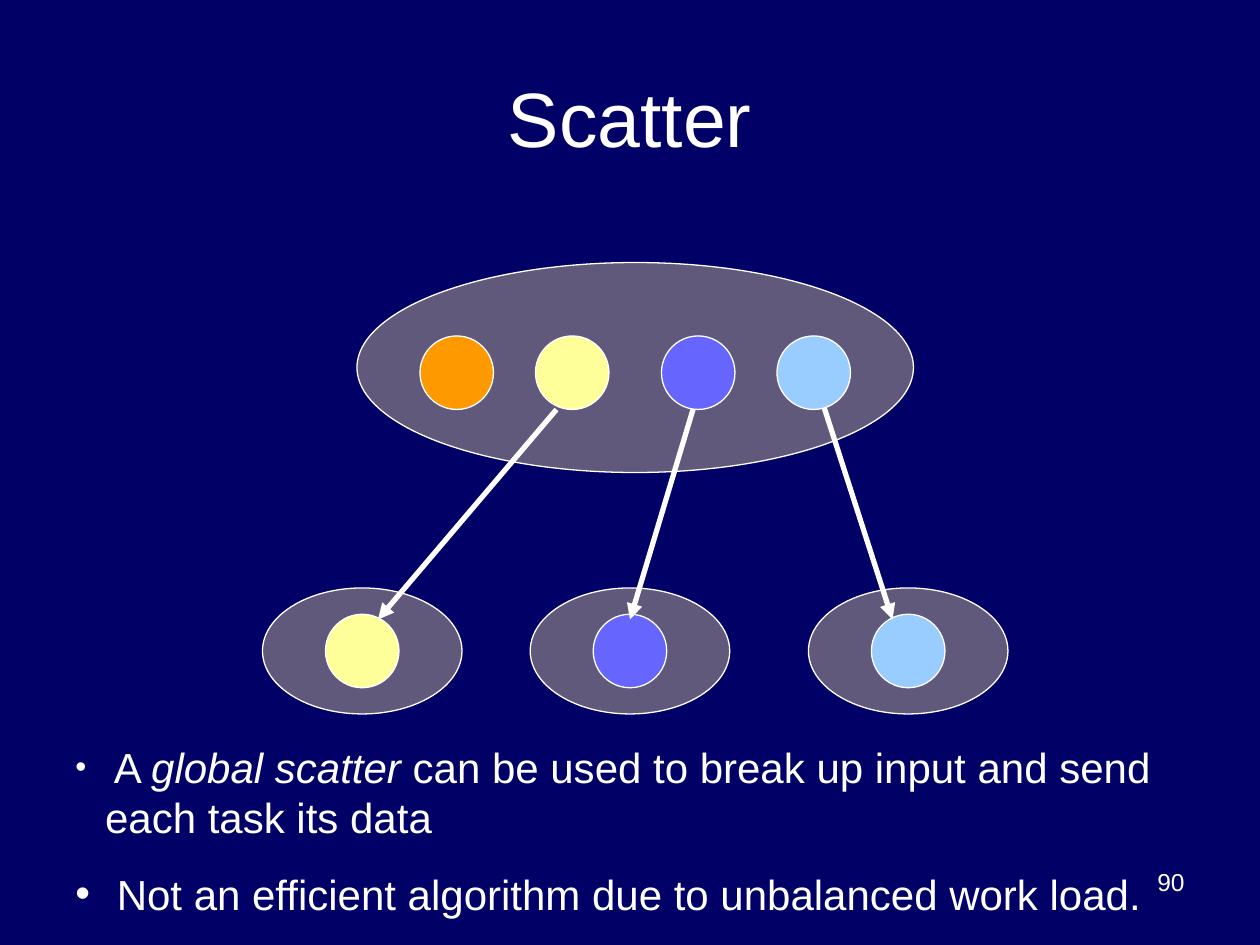
from lxml import etree
from pptx import Presentation
from pptx.dml.color import RGBColor
from pptx.enum.shapes import MSO_CONNECTOR, MSO_SHAPE
from pptx.enum.text import MSO_ANCHOR, PP_ALIGN
from pptx.oxml.ns import qn
from pptx.util import Pt

NAVY = RGBColor(0x00, 0x00, 0x66)
WHITE = RGBColor(0xFF, 0xFF, 0xFF)
TASK_GREY = RGBColor(0x60, 0x59, 0x7B)
ORANGE = RGBColor(0xFF, 0x99, 0x00)
YELLOW = RGBColor(0xFF, 0xFF, 0x99)
BLUE = RGBColor(0x66, 0x66, 0xFF)
SKY = RGBColor(0x99, 0xCC, 0xFF)

OVAL = MSO_SHAPE.OVAL
STRAIGHT = MSO_CONNECTOR.STRAIGHT
MIDDLE, TOP = MSO_ANCHOR.MIDDLE, MSO_ANCHOR.TOP
LEFT, CENTER, RIGHT = PP_ALIGN.LEFT, PP_ALIGN.CENTER, PP_ALIGN.RIGHT

DATA_SIZE = 42
TASK_WIDTH, TASK_HEIGHT = 114, 72
ROOT_CENTER_Y, TASK_CENTER_Y = 213, 372
BULLET_INDENT = 17

# Colour, centre in the root, centre of the receiving task, arrow start and end
SCATTERED = [
    (YELLOW, 327, 207, (318, 234), (216, 354)),
    (BLUE, 399, 360, (396, 234), (360, 354)),
    (SKY, 465, 519, (471, 233), (510, 354)),
]


def add_ellipse(slide, center_x, center_y, width, height, color):
    ellipse = slide.shapes.add_shape(
        OVAL, Pt(center_x - width / 2), Pt(center_y - height / 2), Pt(width), Pt(height))
    ellipse.shadow.inherit = False
    ellipse.fill.solid()
    ellipse.fill.fore_color.rgb = color
    ellipse.line.color.rgb = WHITE
    ellipse.line.width = Pt(0.75)


def add_data(slide, center_x, center_y, color):
    add_ellipse(slide, center_x, center_y, DATA_SIZE, DATA_SIZE, color)


def add_arrow(slide, start, end):
    arrow = slide.shapes.add_connector(STRAIGHT, *map(Pt, start + end))
    arrow.line.color.rgb = WHITE
    arrow.line.width = Pt(3)
    etree.SubElement(arrow.line._get_or_add_ln(), qn("a:tailEnd"), type="triangle")
    etree.SubElement(arrow._element.spPr, qn("a:effectLst"))


def add_bullet(paragraph):
    properties = paragraph._p.get_or_add_pPr()
    properties.set("marL", str(Pt(BULLET_INDENT)))
    properties.set("indent", str(-Pt(BULLET_INDENT)))
    etree.SubElement(properties, qn("a:buFont"), typeface="Arial")
    etree.SubElement(properties, qn("a:buChar"), char="•")


def add_text(slide, box, paragraphs, size, align=LEFT, anchor=TOP, bullets=False, gap=0):
    """Each paragraph is a list of (text, run format) pairs."""
    frame = slide.shapes.add_textbox(*map(Pt, box)).text_frame
    frame.word_wrap = True
    frame.vertical_anchor = anchor
    for index, runs in enumerate(paragraphs):
        paragraph = frame.paragraphs[0] if index == 0 else frame.add_paragraph()
        if bullets:
            add_bullet(paragraph)
        paragraph.alignment = align
        if index:
            paragraph.space_before = Pt(gap)
        for text, style in runs:
            run = paragraph.add_run()
            run.text = text
            run.font.name = "Arial"
            run.font.size = Pt(style.get("size", size))
            run.font.italic = style.get("italic", False)
            run.font.color.rgb = WHITE


def main():
    deck = Presentation()
    deck.slide_width, deck.slide_height = Pt(720), Pt(540)
    slide = deck.slides.add_slide(deck.slide_layouts[6])
    slide.background.fill.solid()
    slide.background.fill.fore_color.rgb = NAVY

    add_text(slide, (36, 21.6, 648, 90), [[("Scatter", {})]], 44,
             align=CENTER, anchor=MIDDLE)

    # Root task with its data
    add_ellipse(slide, 363, 210, 318, 120, TASK_GREY)
    add_data(slide, 261, ROOT_CENTER_Y, ORANGE)

    # Data sent to each receiving task
    for color, root_x, task_x, start, end in SCATTERED:
        add_data(slide, root_x, ROOT_CENTER_Y, color)
        add_ellipse(slide, task_x, TASK_CENTER_Y, TASK_WIDTH, TASK_HEIGHT, TASK_GREY)
        add_data(slide, task_x, TASK_CENTER_Y, color)
        add_arrow(slide, start, end)

    # Explanation
    explanation = [
        [(" ", {"size": 18}), ("A ", {}), ("global scatter", {"italic": True}),
         (" can be used to break up input and send each task its data", {})],
        [(" Not an efficient algorithm due to unbalanced work load.", {})],
    ]
    add_text(slide, (36, 420, 648, 109), explanation, 24, bullets=True, gap=15)

    # Slide number
    add_text(slide, (516, 492, 168, 37.5), [[("90", {})]], 14, align=RIGHT)

    deck.save("out.pptx")


if __name__ == "__main__":
    main()
